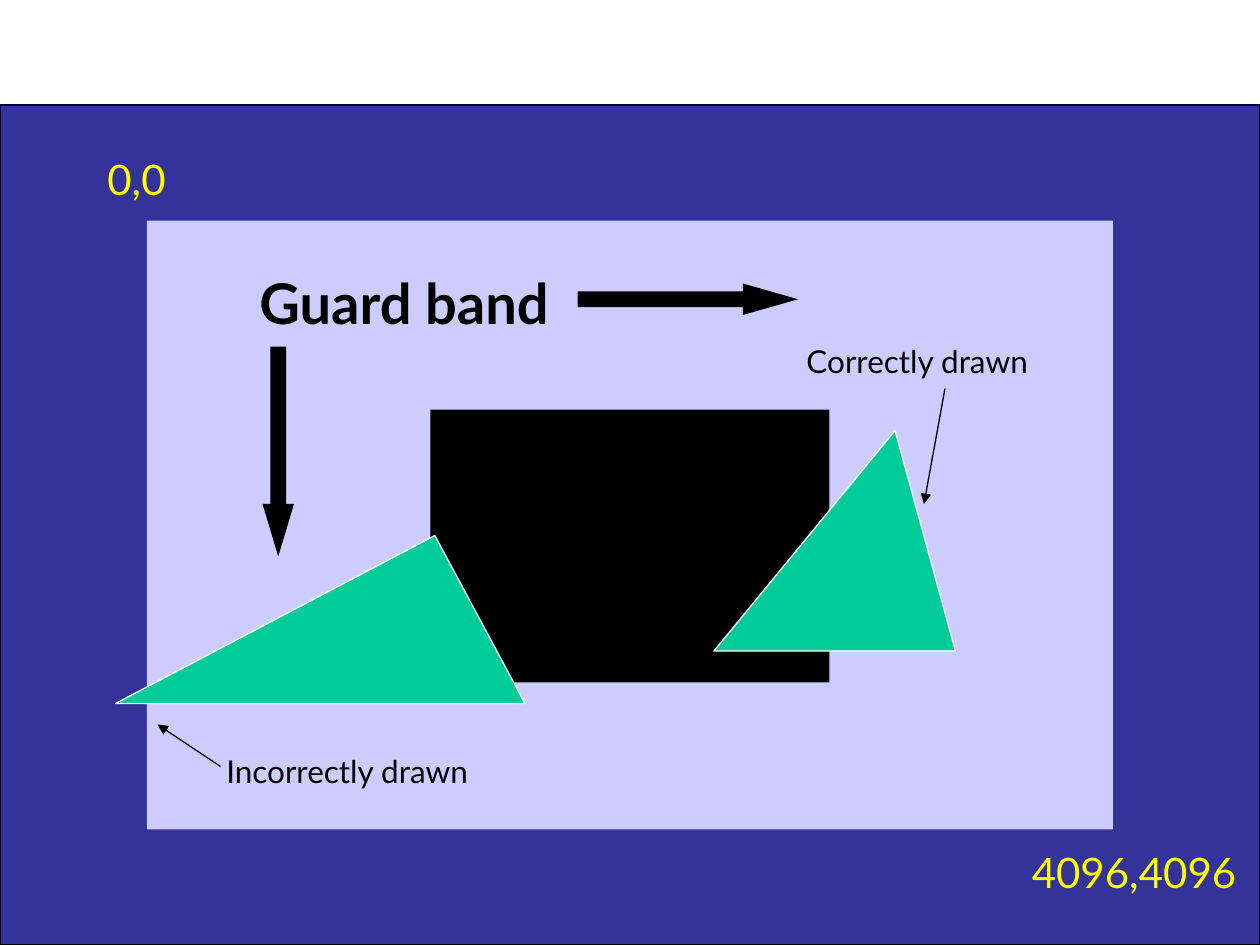
"""Build a slide that explains the guard band around the screen area."""
from dataclasses import dataclass

from lxml.etree import SubElement
from pptx import Presentation
from pptx.dml.color import RGBColor
from pptx.enum.shapes import MSO_CONNECTOR, MSO_SHAPE
from pptx.enum.text import MSO_AUTO_SIZE, PP_ALIGN
from pptx.oxml.ns import qn
from pptx.util import Pt

EMU_PER_PX = 9525


@dataclass(frozen=True)
class Theme:
    """Colours, type sizes and line width of the slide."""
    font: str = "Lato"
    outside: str = "333399"
    guard_band: str = "CCCCFF"
    ink: str = "000000"
    triangle: str = "00CC99"
    edge: str = "FFFFFF"
    coordinate: str = "FFFF00"
    title_size: int = 32
    coordinate_size: int = 24
    label_size: int = 18
    line_width: float = 0.75


def px(*lengths):
    """Turn pixel lengths into EMU."""
    return [length * EMU_PER_PX for length in lengths]


def apply_format(target, values):
    """Set each named attribute on the target."""
    for name, value in values.items():
        setattr(target, name, value)


class SlideBuilder:
    """Draw elements on one slide in the given theme."""

    def __init__(self, slide, theme):
        """Keep the slide and its theme."""
        self.shapes = slide.shapes
        self.theme = theme

    def outline(self, line, color):
        """Give a line its colour and the theme width."""
        line.color.rgb = RGBColor.from_string(color)
        line.width = Pt(self.theme.line_width)

    def shape(self, kind, box, fill, line=None, adjustments=()):
        """Add a filled preset shape."""
        shape = self.shapes.add_shape(kind, *px(*box))
        shape.shadow.inherit = False
        shape.fill.solid()
        shape.fill.fore_color.rgb = RGBColor.from_string(fill)
        for index, value in enumerate(adjustments):
            shape.adjustments[index] = value
        if line:
            self.outline(shape.line, line)
        else:
            shape.line.fill.background()

    def text(self, words, box, size, color, space_before, bold=False,
             align=PP_ALIGN.CENTER, wrap=True):
        """Add a text box with one paragraph."""
        frame = self.shapes.add_textbox(*px(*box)).text_frame
        apply_format(frame, {"word_wrap": wrap,
                             "auto_size": MSO_AUTO_SIZE.SHAPE_TO_FIT_TEXT})
        paragraph = frame.paragraphs[0]
        apply_format(paragraph, {"alignment": align,
                                 "space_before": Pt(space_before)})
        run = paragraph.add_run()
        run.text = words
        apply_format(run.font, {"name": self.theme.font, "size": Pt(size),
                                "bold": bold})
        run.font.color.rgb = RGBColor.from_string(color)

    def pointer(self, start, end):
        """Add a thin line with an arrowhead at its end."""
        connector = self.shapes.add_connector(
            MSO_CONNECTOR.STRAIGHT, *px(*start, *end))
        self.outline(connector.line, self.theme.ink)
        properties = connector._element.spPr
        SubElement(properties.find(qn("a:ln")), qn("a:tailEnd"), type="triangle")
        SubElement(properties, qn("a:effectLst"))


def main():
    """Build and save the presentation."""
    theme = Theme()
    presentation = Presentation()
    presentation.slide_width, presentation.slide_height = px(960, 720)
    slide = presentation.slides.add_slide(presentation.slide_layouts[6])
    builder = SlideBuilder(slide, theme)

    builder.shape(MSO_SHAPE.RECTANGLE, (0, 80, 960, 640), theme.outside, theme.ink)
    builder.shape(MSO_SHAPE.RECTANGLE, (112, 168, 736, 464), theme.guard_band)
    for words, box in (("0,0", (56, 112, 96, 48)),
                       ("4096,4096", (768, 640, 192, 48))):
        builder.text(words, box, theme.coordinate_size, theme.coordinate, 15)
    builder.shape(MSO_SHAPE.RECTANGLE, (328, 312, 304, 208), theme.ink)

    builder.text("Guard band", (136, 200, 344, 61), theme.title_size,
                 theme.ink, 20, bold=True)
    for kind, box, head in (
            (MSO_SHAPE.DOWN_ARROW, (200, 264, 24, 160), 1.67),
            (MSO_SHAPE.RIGHT_ARROW, (440, 216, 168, 24), 1.75)):
        builder.shape(kind, box, theme.ink, adjustments=(0.5, head))

    for box, apex in (((544, 328, 184, 168), 0.75), ((88, 408, 312, 128), 0.78)):
        builder.shape(MSO_SHAPE.ISOSCELES_TRIANGLE, box, theme.triangle,
                      theme.edge, (apex,))

    for words, box, start, end in (
            ("Correctly drawn", (605, 256, 199, 38), (720, 296), (704, 384)),
            ("Incorrectly drawn", (163, 568, 218, 38), (168, 584), (120, 552))):
        builder.text(words, box, theme.label_size, theme.ink, 4.5,
                     align=PP_ALIGN.LEFT, wrap=False)
        builder.pointer(start, end)

    presentation.save("out.pptx")


if __name__ == "__main__":
    main()
